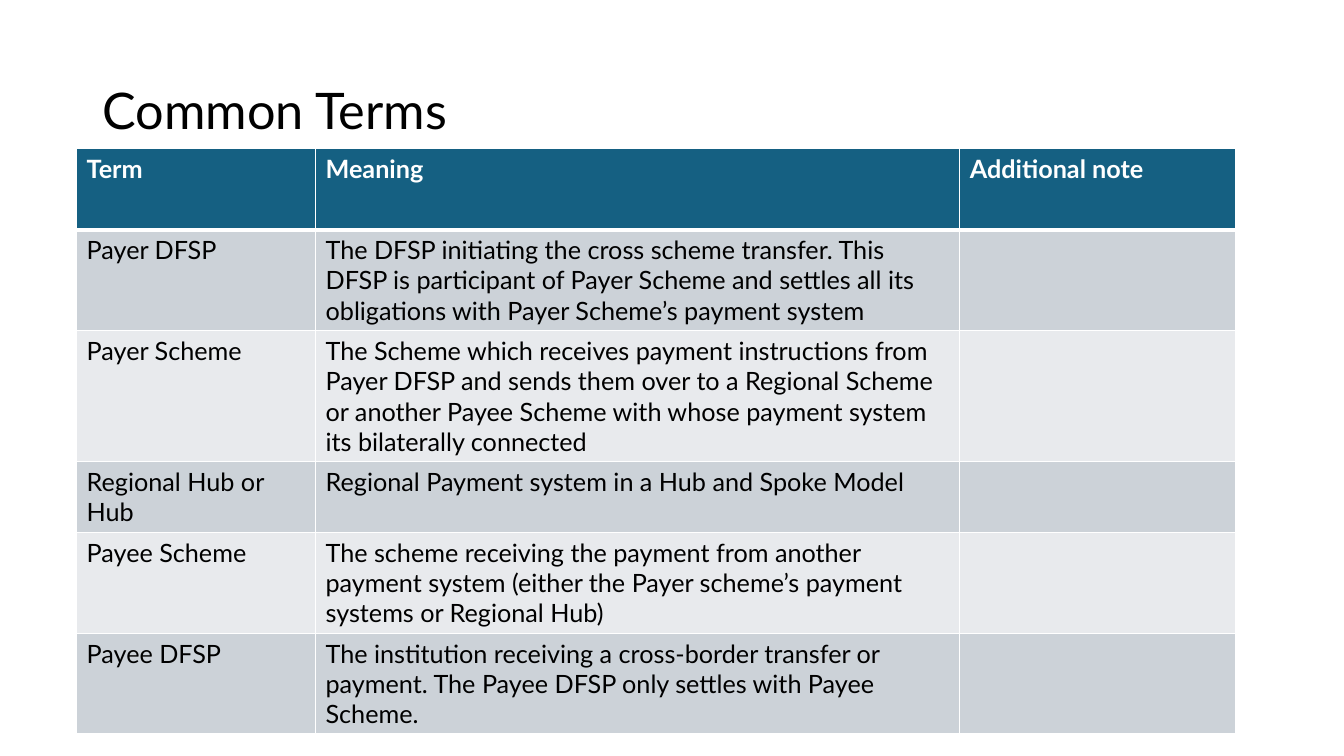
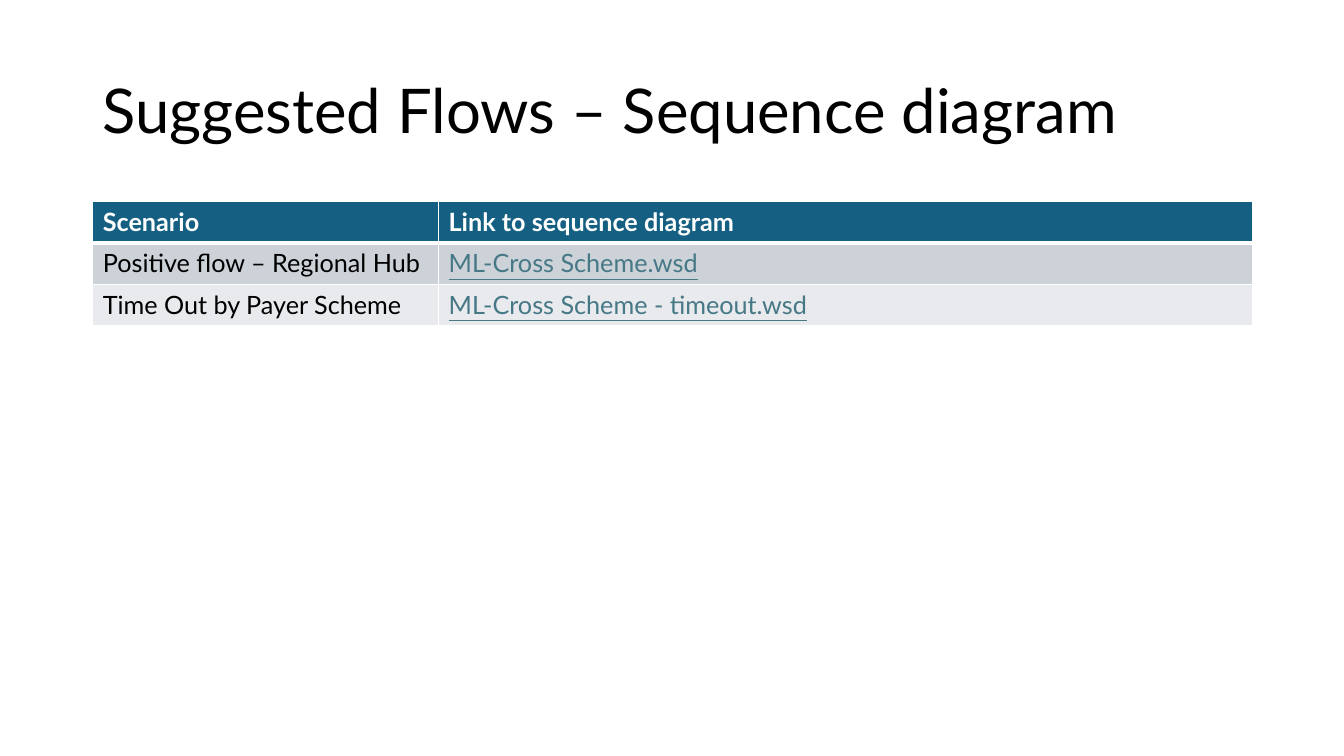
import pptx
import pptx.dml.color
import pptx.enum.text
import pptx.oxml.ns
import pptx.util
from lxml import etree
from pptx.util import Inches, Pt

TERMS = [
    ["Term", "Meaning", "Additional note"],
    ["Payer DFSP", "The DFSP initiating the cross scheme transfer. This DFSP is "
     "participant of Payer Scheme and settles all its obligations with Payer "
     "Scheme’s payment system", ""],
    ["Payer Scheme", "The Scheme which receives payment instructions from Payer "
     "DFSP and sends them over to a Regional Scheme or another Payee Scheme with "
     "whose payment system its bilaterally connected", ""],
    ["Regional Hub or Hub", "Regional Payment system in a Hub and Spoke Model", ""],
    ["Payee Scheme", "The scheme receiving the payment from another payment system "
     "(either the Payer scheme’s payment systems or Regional Hub)", ""],
    ["Payee DFSP", "The institution receiving a cross-border transfer or payment. "
     "The Payee DFSP only settles with Payee Scheme.", ""],
]
FLOWS = [
    ["Scenario", "Link to sequence diagram"],
    ["Positive flow – Regional Hub", "ML-Cross Scheme.wsd"],
    ["Time Out by Payer Scheme", "ML-Cross Scheme - timeout.wsd"],
]


def rgb(value):
    """Turn a hex string into a colour."""
    return pptx.dml.color.RGBColor.from_string(value)


def write(tf, text, size=18, color="000000", font="Lato", bold=False,
          underline=False, spacing=None):
    """Put one formatted run into the first paragraph of a text frame."""
    p = tf.paragraphs[0]
    if spacing:
        p.line_spacing = spacing
    r = p.add_run()
    r.text = text
    r.font.name, r.font.size = font, Pt(size)
    r.font.bold, r.font.underline = bold, underline
    r.font.color.rgb = rgb(color)


def border(cell, side, color, width):
    """Draw one side (L, R, T or B) of a cell; call before filling it."""
    qn = pptx.oxml.ns.qn
    ln = etree.SubElement(cell._tc.get_or_add_tcPr(), qn(f"a:ln{side}"),
                          w=str(Pt(width)))
    fill = etree.SubElement(ln, qn("a:solidFill"))
    etree.SubElement(fill, qn("a:srgbClr"), val=color)


class Deck:
    """Holds the shared style and the current slide."""
    WHITE, HEADER, LINK = "FFFFFF", "156082", "467886"
    BANDS = ["CCD2D8", "E8EAED"]
    ROW = 0.41

    def __init__(self):
        """Start a widescreen presentation."""
        self.prs = pptx.Presentation()
        self.prs.slide_width, self.prs.slide_height = Inches(13.33), Inches(7.5)

    def slide(self, title, size=44):
        """Add a blank slide with a title."""
        self.s = self.prs.slides.add_slide(self.prs.slide_layouts[6])
        box = self.s.shapes.add_textbox(Inches(0.92), Inches(0.4),
                                        Inches(11.5), Inches(1.45))
        tf = box.text_frame
        tf.word_wrap = True
        tf.vertical_anchor = pptx.enum.text.MSO_ANCHOR.MIDDLE
        write(tf, title, size=size, spacing=0.9)

    def table(self, rows, left, top, widths, header=ROW, link_col=None):
        """Add a banded table with a header row and an optional link column."""
        height = header + self.ROW * (len(rows) - 1)
        table = self.s.shapes.add_table(
            len(rows), len(widths), Inches(left), Inches(top),
            Inches(sum(widths)), Inches(height)).table
        for column, width in zip(table.columns, widths):
            column.width = Inches(width)
        for i, row in enumerate(rows):
            table.rows[i].height = Inches(self.ROW if i else header)
            for j, text in enumerate(row):
                self.cell(table.cell(i, j), text, i, j == link_col)

    def cell(self, cell, text, row, link):
        """Style and fill one table cell; row 0 is the header."""
        for side in "LRTB":
            under_header = (row, side) in [(0, "B"), (1, "T")]
            border(cell, side, self.WHITE, 3 if under_header else 1)
        cell.fill.solid()
        cell.fill.fore_color.rgb = rgb(self.BANDS[(row - 1) % 2] if row
                                       else self.HEADER)
        if not text:
            return
        if row == 0:
            write(cell.text_frame, text, color=self.WHITE, bold=True)
        elif link:
            write(cell.text_frame, text, color=self.LINK, underline=True)
        else:
            write(cell.text_frame, text)


deck = Deck()
deck.slide("Common Terms", size=36)
deck.table(TERMS, 0.76, 1.47, [2.37, 6.39, 2.74], header=0.81)
deck.slide("Suggested Flows – Sequence diagram")
deck.table(FLOWS, 0.92, 2, [3.43, 8.07], link_col=1)
deck.prs.save("out.pptx")
